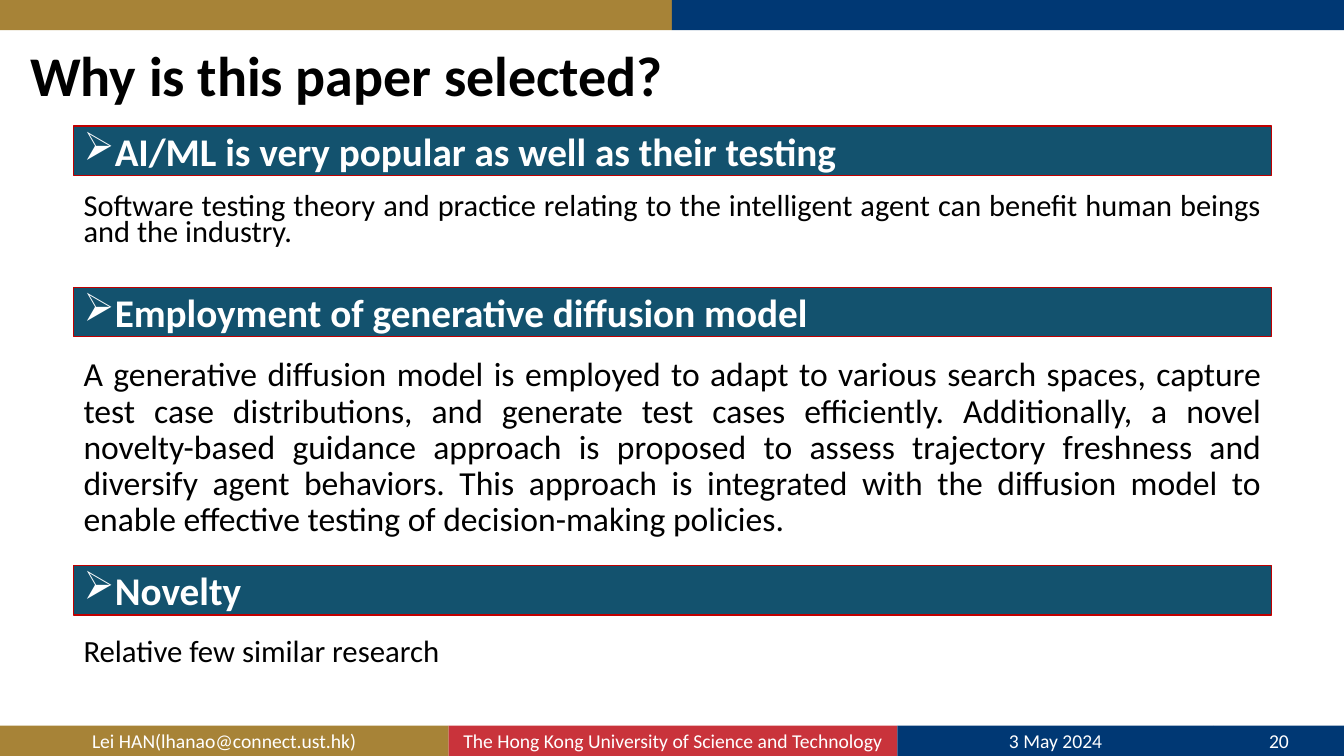
from dataclasses import dataclass

from lxml.etree import SubElement
from pptx import Presentation
from pptx.dml.color import RGBColor
from pptx.enum.shapes import MSO_SHAPE
from pptx.enum.text import MSO_ANCHOR, MSO_AUTO_SIZE, PP_ALIGN
from pptx.oxml.ns import qn
from pptx.shapes.autoshape import Shape
from pptx.slide import Slide
from pptx.text.text import _Paragraph as Para
from pptx.util import Inches, Pt

COLORS = {
    "gold": "A78337",
    "navy": "003874",
    "red": "C9333B",
    "teal": "13526E",
    "edge": "C00000",
    "white": "FFFFFF",
    "black": "000000",
}
FONT = "Calibri"
WIDE, HIGH = 13.33, 7.5
STRIP = 0.3
LEFT, SPAN = 0.73, 11.88
HEAD = 0.49
GAP = 0.16  # from a heading to its text
INDENT = 0.31


@dataclass
class Band:
    left: float
    top: float
    width: float
    fill: str
    text: str = ""


@dataclass
class Topic:
    top: float
    head: str
    body: str
    height: float
    size: float
    pitch: float


FOOT = HIGH - STRIP
BANDS = [
    Band(0, 0, WIDE / 2, "gold"),
    Band(WIDE / 2, 0, WIDE / 2, "navy"),
    Band(0, FOOT, 4.45, "gold", "Lei HAN(lhanao@connect.ust.hk)"),
    Band(4.45, FOOT, 4.45, "red",
         "The Hong Kong University of Science and Technology"),
    Band(8.9, FOOT, 3.14, "navy", "3 May 2024"),
    Band(12.04, FOOT, 1.29, "navy", "20"),
]
TOPICS = [
    Topic(1.25, "AI/ML is very popular as well as their testing",
          "Software testing theory and practice relating to the intelligent "
          "agent can benefit human beings and the industry.",
          0.65, 21.7, 0.7),
    Topic(2.85, "Employment of generative diffusion model",
          "A generative diffusion model is employed to adapt to various search "
          "spaces, capture test case distributions, and generate test cases "
          "efficiently. Additionally, a novel novelty-based guidance approach "
          "is proposed to assess trajectory freshness and diversify agent "
          "behaviors. This approach is integrated with the diffusion model to "
          "enable effective testing of decision-making policies.",
          2.11, 24, 0.9),
    Topic(5.61, "Novelty", "Relative few similar research", 0.65, 22, 0.9),
]


def color(name: str) -> RGBColor:
    return RGBColor.from_string(COLORS[name])


def place(shape: Shape, left: float, top: float, width: float,
          height: float) -> None:
    shape.left, shape.top = Inches(left), Inches(top)
    shape.width, shape.height = Inches(width), Inches(height)


def write(para: Para, text: str, size: float, ink: str,
          bold: bool = False) -> None:
    run = para.add_run()
    run.text = text
    run.font.name = FONT
    run.font.size = Pt(size)
    run.font.bold = bold
    run.font.color.rgb = color(ink)


def bullet(para: Para, mark: str = "") -> None:
    """Set a hanging bullet, or none when there is no mark."""
    props = para._p.get_or_add_pPr()
    hang = Inches(INDENT) if mark else 0
    props.set("marL", str(hang))
    props.set("indent", str(-hang))
    if mark:
        SubElement(props, qn("a:buChar")).set("char", mark)
    else:
        SubElement(props, qn("a:buNone"))


def block(slide: Slide, left: float, top: float, width: float, height: float,
          fill: str) -> Shape:
    shape = slide.shapes.add_shape(
        MSO_SHAPE.RECTANGLE, Inches(left), Inches(top), Inches(width),
        Inches(height))
    shape.shadow.inherit = False
    shape.fill.solid()
    shape.fill.fore_color.rgb = color(fill)
    shape.line.fill.background()
    shape.text_frame.vertical_anchor = MSO_ANCHOR.MIDDLE
    return shape


def strip(slide: Slide, band: Band) -> None:
    shape = block(slide, band.left, band.top, band.width, STRIP, band.fill)
    if band.text:
        para = shape.text_frame.paragraphs[0]
        para.alignment = PP_ALIGN.CENTER
        write(para, band.text, 14, "white")


def header(slide: Slide, topic: Topic) -> None:
    shape = block(slide, LEFT, topic.top, SPAN, HEAD, "teal")
    shape.line.color.rgb = color("edge")
    shape.line.width = Pt(1)
    para = shape.text_frame.paragraphs[0]
    para.alignment = PP_ALIGN.LEFT
    bullet(para, "➢")
    write(para, topic.head, 28, "white", bold=True)


def detail(shape: Shape, topic: Topic) -> None:
    place(shape, LEFT, topic.top + HEAD + GAP, SPAN, topic.height)
    frame = shape.text_frame
    frame.word_wrap = True
    frame.auto_size = MSO_AUTO_SIZE.NONE
    para = frame.paragraphs[0]
    para.alignment = PP_ALIGN.JUSTIFY
    para.line_spacing = topic.pitch
    para.space_before, para.space_after = Pt(0), Pt(6)
    bullet(para)
    write(para, topic.body, topic.size, "black")


def main() -> None:
    deck = Presentation()
    deck.slide_width, deck.slide_height = Inches(WIDE), Inches(HIGH)
    slide = deck.slides.add_slide(deck.slide_layouts[1])

    # Title
    title = slide.shapes.title
    place(title, 0.2, 0.29, 11.5, 0.97)
    title.text_frame.vertical_anchor = MSO_ANCHOR.MIDDLE
    title.text_frame.auto_size = MSO_AUTO_SIZE.NONE
    para = title.text_frame.paragraphs[0]
    para.alignment = PP_ALIGN.LEFT
    para.line_spacing = 0.9
    write(para, "Why is this paper selected?", 40, "black", bold=True)

    # Top and bottom strips
    for band in BANDS:
        strip(slide, band)

    # Topics: the first text sits in the body placeholder
    for i, topic in enumerate(TOPICS):
        header(slide, topic)
        box = slide.placeholders[1] if i == 0 else slide.shapes.add_textbox(
            0, 0, 0, 0)
        detail(box, topic)

    deck.save("out.pptx")


if __name__ == "__main__":
    main()
